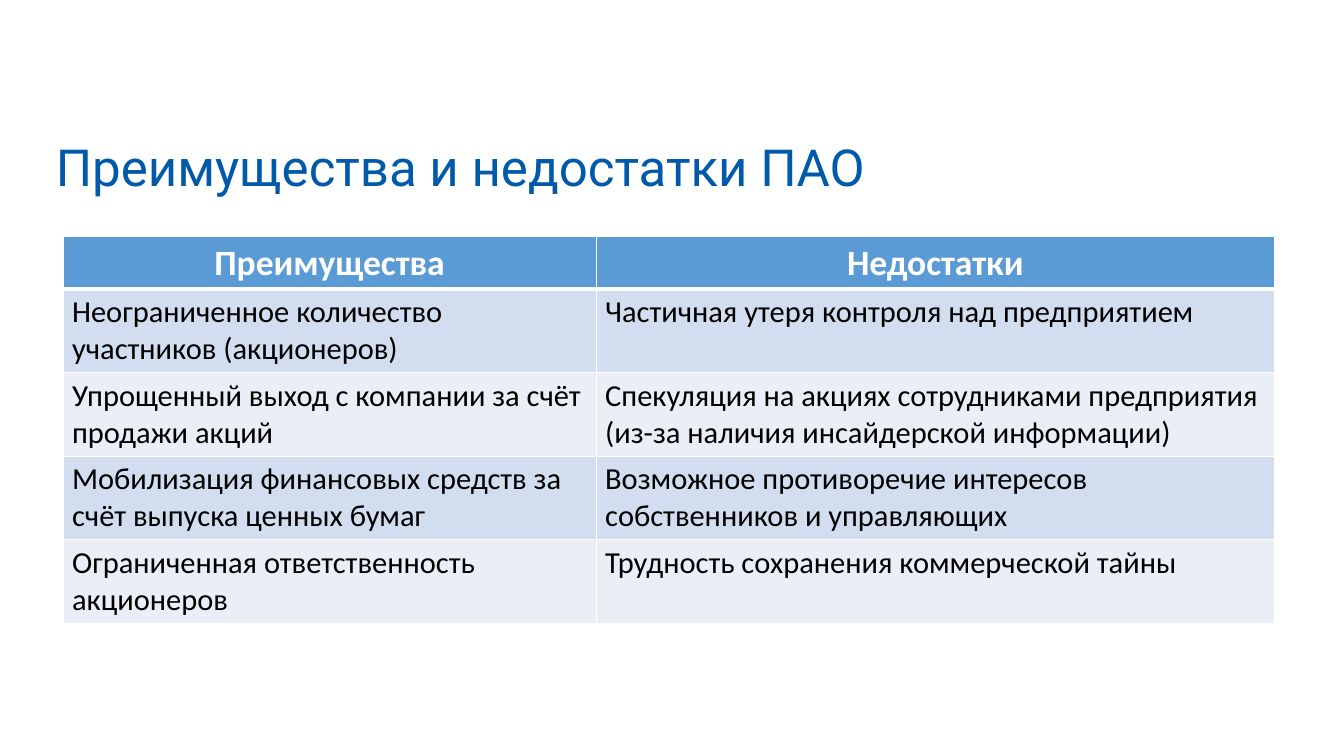
from dataclasses import dataclass

from lxml.etree import SubElement
from pptx import Presentation
from pptx.dml.color import RGBColor
from pptx.enum.text import MSO_ANCHOR, PP_ALIGN as Align
from pptx.oxml.ns import qn
from pptx.util import Cm, Pt


@dataclass(frozen=True)
class Theme:
    """Colours, fonts and type sizes of the slide."""
    title_font: str = "Roboto"
    table_font: str = "Calibri"
    title_color: str = "0059A9"
    header_fill: str = "5B9BD5"
    band_fills: tuple = ("D2DEEF", "EAEFF7")
    white: str = "FFFFFF"
    body_color: str = "000000"
    title_size: float = 40.2
    header_size: float = 28
    body_size: float = 24


THEME = Theme()
TITLE = "Преимущества и недостатки ПАО"
HEADINGS = ("Преимущества", "Недостатки")
COMPARISON = (
    ("Неограниченное количество участников (акционеров)",
     "Частичная утеря контроля над предприятием"),
    ("Упрощенный выход с компании за счёт продажи акций",
     "Спекуляция на акциях сотрудниками предприятия (из-за наличия инсайдерской информации)"),
    ("Мобилизация финансовых средств за счёт выпуска ценных бумаг",
     "Возможное противоречие интересов собственников и управляющих"),
    ("Ограниченная ответственность акционеров",
     "Трудность сохранения коммерческой тайны"),
)


def write_text(text_frame, text, *, font, size, color, bold=False,
               align=Align.LEFT, spacing=None):
    """Write one formatted paragraph into a text frame."""
    paragraph = text_frame.paragraphs[0]
    paragraph.alignment = align
    paragraph.line_spacing = spacing
    run = paragraph.add_run()
    run.text = text
    run.font.name = font
    run.font.size = Pt(size)
    run.font.bold = bold
    run.font.color.rgb = RGBColor.from_string(color)


def style_cell(cell, fill, bottom_width=1):
    """Fill a cell and draw its white borders."""
    properties = cell._tc.get_or_add_tcPr()
    widths = {"a:lnL": 1, "a:lnR": 1, "a:lnT": 1, "a:lnB": bottom_width}
    for tag, width in widths.items():
        line = SubElement(properties, qn(tag), w=str(Pt(width)))
        solid = SubElement(line, qn("a:solidFill"))
        SubElement(solid, qn("a:srgbClr"), val=THEME.white)
    cell.fill.solid()
    cell.fill.fore_color.rgb = RGBColor.from_string(fill)


def add_title(slide, left, top, width, height):
    """Place the slide title in the given box."""
    text_frame = slide.shapes.add_textbox(left, top, width, height).text_frame
    text_frame.word_wrap = True
    text_frame.vertical_anchor = MSO_ANCHOR.TOP
    text_frame.margin_left = Cm(0.2)
    text_frame.margin_top = Cm(0.3)
    write_text(text_frame, TITLE, font=THEME.title_font, size=THEME.title_size,
               color=THEME.title_color, spacing=1.15)


def add_comparison(slide, left, top, width, height):
    """Place the two-column comparison table in the given box."""
    table = slide.shapes.add_table(
        len(COMPARISON) + 1, len(HEADINGS), left, top, width, height).table
    table.columns[0].width = int(width * 0.44)
    table.columns[1].width = width - table.columns[0].width
    header_height = Cm(1.45)
    for index, row in enumerate(table.rows):
        row.height = int((height - header_height) / len(COMPARISON)) if index else header_height

    for cell, heading in zip(table.rows[0].cells, HEADINGS):
        style_cell(cell, THEME.header_fill, bottom_width=3)
        write_text(cell.text_frame, heading, font=THEME.table_font,
                   size=THEME.header_size, color=THEME.white, bold=True,
                   align=Align.CENTER)

    for index, texts in enumerate(COMPARISON):
        fill = THEME.band_fills[index % len(THEME.band_fills)]
        for cell, text in zip(table.rows[index + 1].cells, texts):
            style_cell(cell, fill)
            write_text(cell.text_frame, text, font=THEME.table_font,
                       size=THEME.body_size, color=THEME.body_color)


def main():
    """Build and save the presentation."""
    presentation = Presentation()
    presentation.slide_width = Cm(37.34)
    presentation.slide_height = Cm(21)
    slide = presentation.slides.add_slide(presentation.slide_layouts[6])
    add_title(slide, Cm(1.35), Cm(3.2), Cm(34.04), Cm(3.23))
    add_comparison(slide, Cm(1.75), Cm(6.58), Cm(33.66), Cm(10.73))
    presentation.save("out.pptx")


if __name__ == "__main__":
    main()
